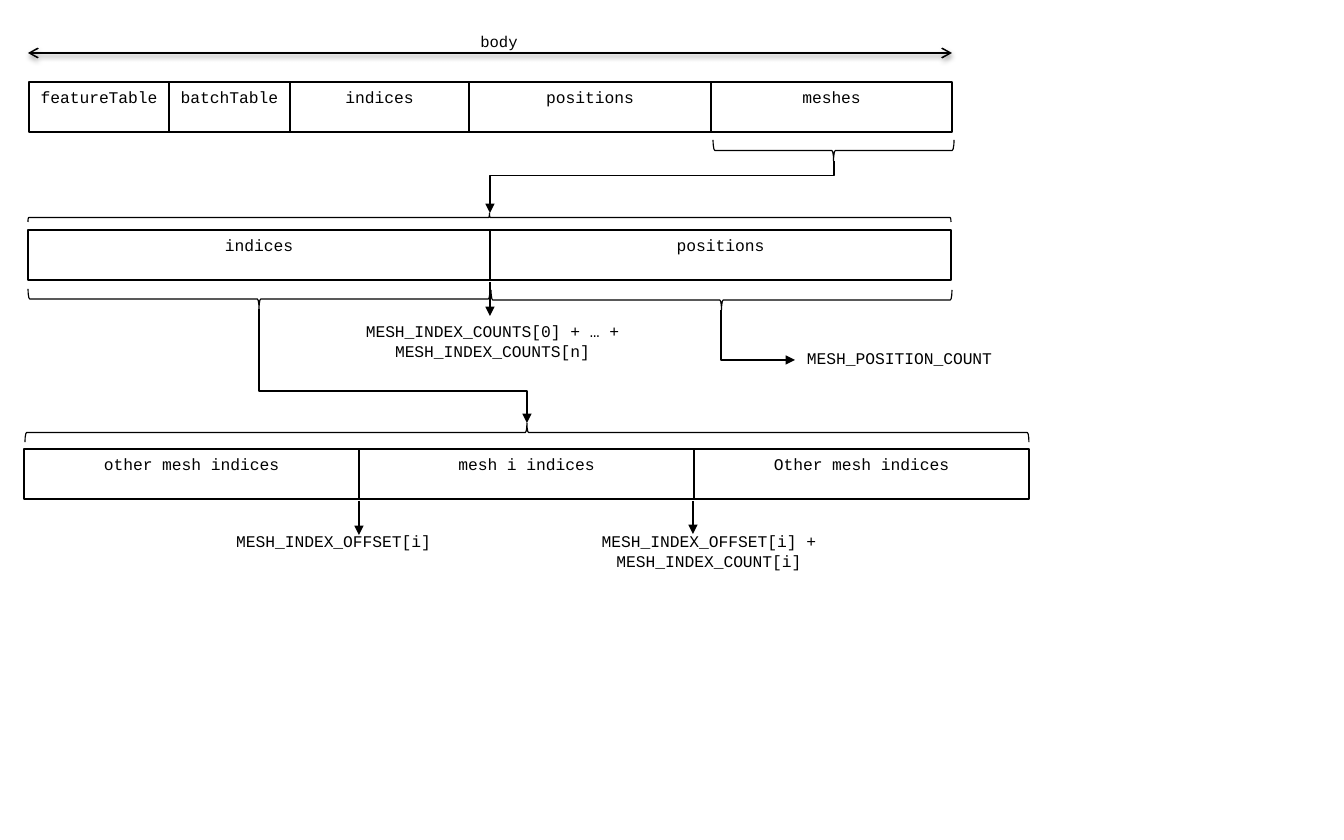
from itertools import pairwise

from lxml import etree
from pptx import Presentation
from pptx.dml.color import RGBColor
from pptx.enum.shapes import MSO_CONNECTOR as LINK, MSO_SHAPE as SHAPE
from pptx.enum.text import MSO_ANCHOR, PP_ALIGN
from pptx.oxml.ns import qn
from pptx.util import Pt

PX = 914400 // 112
FONT = "Courier New"
COLORS = {"ink": "000000"}
ROW_HEIGHT = 50

# Each row: top, cell edges, cell names
ROWS = [
    (82, (29, 169, 290, 469, 711, 952),
     ("featureTable", "batchTable", "indices", "positions", "meshes")),
    (230, (28, 490, 951), ("indices", "positions")),
    (449, (24, 359, 694, 1029),
     ("other mesh indices", "mesh i indices", "Other mesh indices")),
]
# Left, top, width, height, side the tip points to
BRACES = [
    (713, 140, 241, 21, "down"),
    (28, 213, 923, 9, "up"),
    (28, 289, 462, 20, "down"),
    (491, 290, 461, 20, "down"),
    (25, 423, 1004, 19, "up"),
]
# Left, top, width, height, text, size
LABELS = [
    (469, 26, 60, 30, "body", 10),
    (273, 316, 439, 70, "MESH_INDEX_COUNTS[0] + … + MESH_INDEX_COUNTS[n]", 10.5),
    (795, 343, 209, 50, "MESH_POSITION_COUNT", 10.5),
    (166, 526, 335, 50, "MESH_INDEX_OFFSET[i]", 10.5),
    (523, 526, 372, 70, "MESH_INDEX_OFFSET[i] + MESH_INDEX_COUNT[i]", 10.5),
]
BODY_SPAN = ((28, 53), (952, 53))
POINTERS = [
    ((490, 282), (490, 316)),
    ((359, 501), (359, 535)),
    ((693, 501), (693, 534)),
]
# Start, end, share of the drop made before turning (None: a single corner)
ELBOWS = [
    ((834, 161), (490, 213), 0.28),
    ((259, 309), (527, 423), 0.72),
    ((721, 310), (795, 360), None),
]


def color(name):
    return RGBColor.from_string(COLORS[name])


def write(shape, text, size, wrap=True):
    frame = shape.text_frame
    frame.word_wrap = wrap
    frame.vertical_anchor = MSO_ANCHOR.TOP
    para = frame.paragraphs[0]
    para.text = text
    para.alignment = PP_ALIGN.CENTER
    para.font.name = FONT
    para.font.size = Pt(size)
    para.font.color.rgb = color("ink")


def add_outline(page, kind, left, top, width, height, weight):
    shape = page.shapes.add_shape(kind, *(round(n * PX) for n in (left, top, width, height)))
    shape.shadow.inherit = False
    shape.fill.background()
    shape.line.color.rgb = color("ink")
    shape.line.width = Pt(weight)
    return shape


def add_brace(page, left, top, width, height, tip):
    """Turn an upright right brace so that it fills the given flat box."""
    brace = add_outline(page, SHAPE.RIGHT_BRACE, left + (width - height) / 2,
                        top + (height - width) / 2, height, width, 0.75)
    brace.rotation = {"down": 90, "up": 270}[tip]


def add_line(page, kind, start, end, weight=0.75, head=None, tail="triangle"):
    line = page.shapes.add_connector(kind, *(round(n * PX) for n in (*start, *end)))
    line.line.color.rgb = color("ink")
    line.line.width = Pt(weight)
    etree.SubElement(line._element.spPr, qn("a:effectLst"))
    stroke = line.line._get_or_add_ln()
    for tag, arrow in (("a:headEnd", head), ("a:tailEnd", tail)):
        if arrow:
            etree.SubElement(stroke, qn(tag), type=arrow)
    return line


def add_elbow(page, start, end, turn):
    """Draw an elbow that leaves its start downwards: a sideways one, rotated."""
    (x1, y1), (x2, y2) = start, end
    mid_x, mid_y = (x1 + x2) / 2, (y1 + y2) / 2
    half_width, half_height = (y2 - y1) / 2, abs(x2 - x1) / 2
    side = 1 if x2 > x1 else -1
    line = add_line(page, LINK.ELBOW,
                    (mid_x + side * half_width, mid_y - half_height),
                    (mid_x - side * half_width, mid_y + half_height))
    properties = line._element.spPr
    angle = 270 if side > 0 else 90
    properties.find(qn("a:xfrm")).set("rot", str(angle * 60000))
    geometry = properties.find(qn("a:prstGeom"))
    if turn is None:
        geometry.set("prst", "bentConnector2")
    else:
        etree.SubElement(geometry.find(qn("a:avLst")), qn("a:gd"),
                         name="adj1", fmla=f"val {round(turn * 100000)}")


def add_shadow(line):
    effects = line._element.spPr.find(qn("a:effectLst"))
    shadow = etree.SubElement(effects, qn("a:outerShdw"), blurRad="40000",
                              dist="20000", dir="5400000", rotWithShape="0")
    tint = etree.SubElement(shadow, qn("a:srgbClr"), val=COLORS["ink"])
    etree.SubElement(tint, qn("a:alpha"), val="38000")


def main():
    deck = Presentation()
    deck.slide_width, deck.slide_height = 1344 * PX, 840 * PX
    page = deck.slides.add_slide(deck.slide_layouts[6])

    for top, edges, names in ROWS:
        for (left, right), name in zip(pairwise(edges), names):
            cell = add_outline(page, SHAPE.RECTANGLE, left, top, right - left, ROW_HEIGHT, 1)
            write(cell, name, 10.5, wrap=not name.endswith("Table"))
    for brace in BRACES:
        add_brace(page, *brace)
    add_shadow(add_line(page, LINK.STRAIGHT, *BODY_SPAN, weight=1, head="arrow", tail="arrow"))
    for start, end in POINTERS:
        add_line(page, LINK.STRAIGHT, start, end)
    for elbow in ELBOWS:
        add_elbow(page, *elbow)
    for *place, text, size in LABELS:
        box = page.shapes.add_textbox(*(n * PX for n in place))
        write(box, text, size, wrap=text != "body")

    deck.save("out.pptx")


if __name__ == "__main__":
    main()
